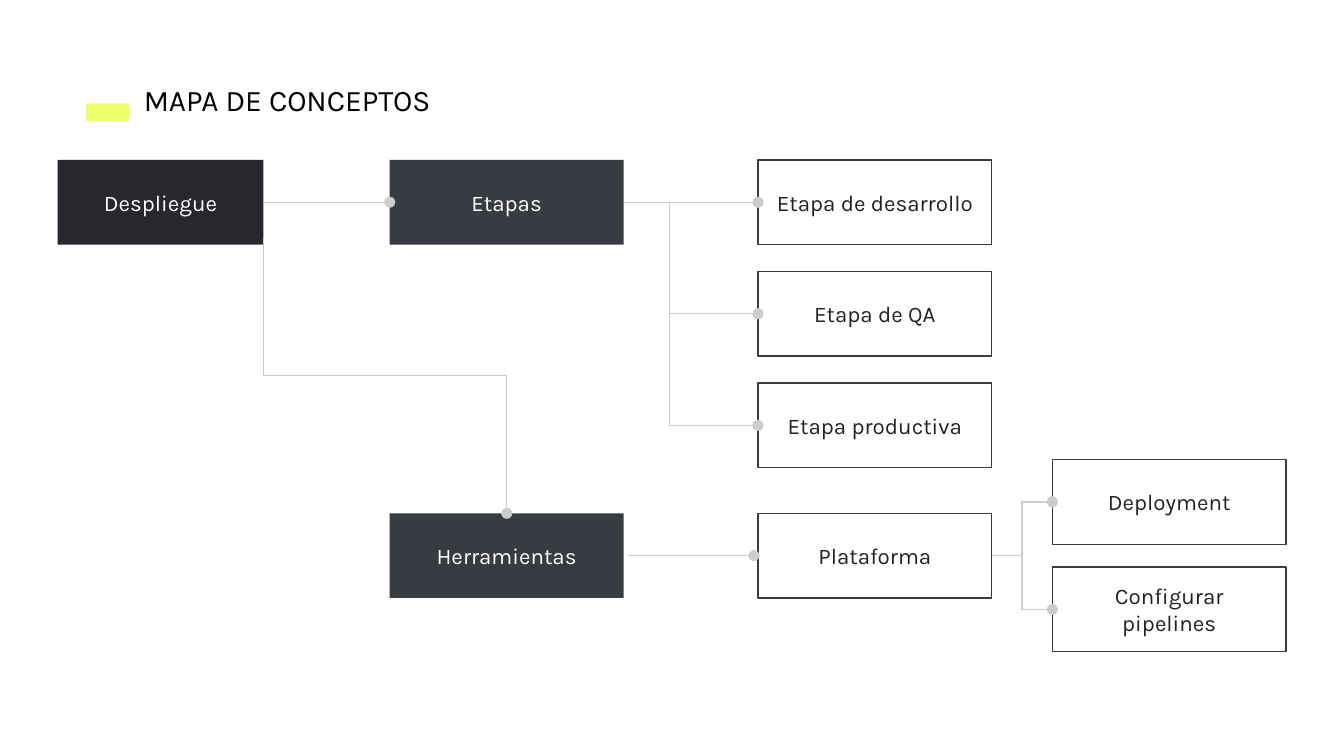
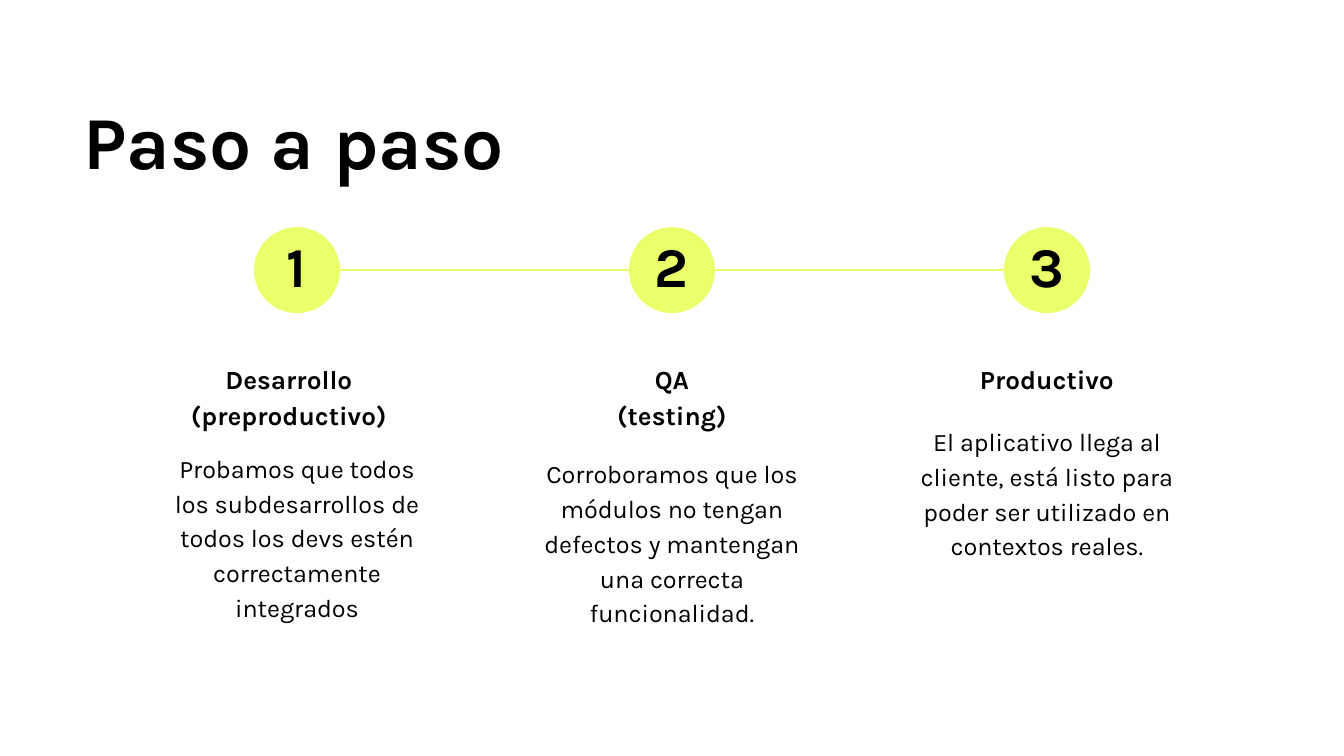
from lxml.etree import SubElement
from pptx import Presentation
from pptx.dml.color import RGBColor
from pptx.enum.shapes import MSO_CONNECTOR, MSO_SHAPE
from pptx.enum.text import MSO_ANCHOR, MSO_AUTO_SIZE, PP_ALIGN
from pptx.oxml.ns import qn
from pptx.util import Inches, Pt

# Shared style
FONT = "Karla"
BLACK, WHITE, TEXT = "000000", "FFFFFF", "222222"
DARK, SLATE, GREY, LIME = "27282D", "393B43", "CCCCCC", "EAFF6A"
LEFT, MID = PP_ALIGN.LEFT, PP_ALIGN.CENTER


def color(code):
    return RGBColor.from_string(code)


def write(shape, lines, size, tint=BLACK, bold=False, align=MID,
          space=1.0, anchor=MSO_ANCHOR.TOP):
    frame = shape.text_frame
    frame.word_wrap = True
    frame.auto_size = MSO_AUTO_SIZE.NONE
    frame.vertical_anchor = anchor
    frame.margin_left = frame.margin_right = Inches(0.1)
    frame.margin_top = frame.margin_bottom = Inches(0.1)
    for i, line in enumerate(lines):
        para = frame.add_paragraph() if i else frame.paragraphs[0]
        para.alignment = align
        para.line_spacing = space
        run = para.add_run()
        run.text = line
        run.font.name = FONT
        run.font.size = Pt(size)
        run.font.bold = bold
        run.font.color.rgb = color(tint)


def title(slide, box, text, size, bold=False, space=1.0):
    shape = slide.shapes.title
    shape.left, shape.top, shape.width, shape.height = map(Inches, box)
    write(shape, [text], size, bold=bold, align=LEFT, space=space)


def label(slide, box, lines, size, **style):
    write(slide.shapes.add_textbox(*map(Inches, box)), lines, size, **style)


def block(slide, box, fill=None, edge=None, kind=MSO_SHAPE.RECTANGLE):
    shape = slide.shapes.add_shape(kind, *map(Inches, box))
    shape.shadow.inherit = False
    if fill:
        shape.fill.solid()
        shape.fill.fore_color.rgb = color(fill)
    else:
        shape.fill.background()
    if edge:
        shape.line.color.rgb = color(edge)
        shape.line.width = Pt(0.75)
    else:
        shape.line.fill.background()
    return shape


def link(slide, kind, start, end, tint):
    line = slide.shapes.add_connector(kind, *start, *end)
    line.line.color.rgb = color(tint)
    line.line.width = Pt(0.75)
    SubElement(line._element.spPr, qn("a:effectLst"))
    return line


# Concept map parts
def node(slide, x, y, text, fill=None, wide=1.74):
    shape = block(slide, (x, y, wide, 0.63), fill, None if fill else SLATE)
    write(shape, [text], 12, WHITE if fill else TEXT, anchor=MSO_ANCHOR.MIDDLE)
    return shape


def port(shape, across, down=0.5):
    return (shape.left + int(shape.width * across),
            shape.top + int(shape.height * down))


def wire(slide, start, end, shape=None):
    """Elbow with a dot at its end; a shape name makes it leave downwards."""
    if shape:
        (x1, y1), (x2, y2) = start, end
        cx, cy = (x1 + x2) // 2, (y1 + y2) // 2
        half, rise = (y2 - y1) // 2, (x2 - x1) // 2
        start, end = (cx + half, cy - rise), (cx - half, cy + rise)
    line = link(slide, MSO_CONNECTOR.ELBOW, start, end, GREY)
    SubElement(line.line._get_or_add_ln(), qn("a:tailEnd"), type="oval")
    if shape:
        props = line._element.spPr
        props.find(qn("a:xfrm")).set("rot", "16200000")
        props.find(qn("a:prstGeom")).set("prst", shape)


def tree(slide, x, y):
    cols = [x, x + 2.47, x + 5.21, x + 7.4]
    low = y + 2.63
    root = node(slide, cols[0], y, "Despliegue", DARK, 1.53)
    phase = node(slide, cols[1], y, "Etapas", SLATE)
    tools = node(slide, cols[1], low, "Herramientas", SLATE)
    names = ["Etapa de desarrollo", "Etapa de QA", "Etapa productiva"]
    stages = [node(slide, cols[2], y + 0.83 * i, name)
              for i, name in enumerate(names)]
    host = node(slide, cols[2], low, "Plataforma")
    tasks = [node(slide, cols[3], low - 0.4 + 0.8 * i, name)
             for i, name in enumerate(["Deployment", "Configurar pipelines"])]

    # Links between the boxes
    wire(slide, port(root, 1), port(phase, 0))
    wire(slide, port(root, 1, 0.92), port(tools, 0.5, 0), "bentConnector3")
    wire(slide, port(phase, 1), port(stages[0], 0))
    fork = (Inches(x + 4.55), port(phase, 1)[1])
    for stage in stages[1:]:
        wire(slide, fork, port(stage, 0), "bentConnector2")
    gap = Inches(0.03)
    (x1, y1), (x2, y2) = port(tools, 1), port(host, 0)
    wire(slide, (x1 + gap, y1), (x2 - gap, y2))
    for task in tasks:
        wire(slide, port(host, 1), port(task, 0))


def chart(slide):
    block(slide, (0.64, 0.77, 0.32, 0.13), LIME)
    title(slide, (0.97, 0.51, 2.69, 0.47), "MAPA DE CONCEPTOS", 16)
    tree(slide, 0.43, 1.19)


# Steps: heading lines, its shift and height, body offset and height, body
STEPS = [
    (["Desarrollo (preproductivo)"], -0.06, 0.71, 1.55, 1.47,
     "Probamos que todos los subdesarrollos de todos los devs estén "
     "correctamente integrados"),
    (["QA", "(testing)"], 0, 0.71, 1.59, 1.74,
     "Corroboramos que los módulos no tengan defectos y mantengan una "
     "correcta funcionalidad."),
    (["Productivo"], 0, 0.44, 1.35, 1.21,
     "El aplicativo llega al cliente, está listo para poder ser utilizado "
     "en contextos reales."),
]


def steps(slide, x, y, pitch=2.79, wide=2.14, size=0.64):
    discs = []
    for i, (head, shift, high, drop, deep, body) in enumerate(STEPS):
        left = x + pitch * i
        mid = left + wide / 2
        discs.append(block(slide, (mid - size / 2, y, size, size), LIME,
                           kind=MSO_SHAPE.OVAL))
        label(slide, (mid - 0.23, y - 0.01, 0.45, 0.66), [str(i + 1)], 30,
              bold=True, space=0.9)
        label(slide, (left + shift, y + 0.88, wide, high), head, 14,
              bold=True, space=1.15)
        label(slide, (left, y + drop, wide, deep), [body], 13.5, space=1.15)
    for a, b in zip(discs, discs[1:]):
        link(slide, MSO_CONNECTOR.STRAIGHT, port(a, 1), port(b, 0), LIME)


def guide(slide):
    title(slide, (0.52, 0.68, 8.9, 0.81), "Paso a paso", 40, True, 0.9)
    steps(slide, 1.14, 1.69)


def main():
    deck = Presentation()
    deck.slide_width = Inches(10)
    deck.slide_height = deck.slide_width * 9 // 16
    for draw in (chart, guide):
        draw(deck.slides.add_slide(deck.slide_layouts[5]))
    deck.save("out.pptx")


if __name__ == "__main__":
    main()
